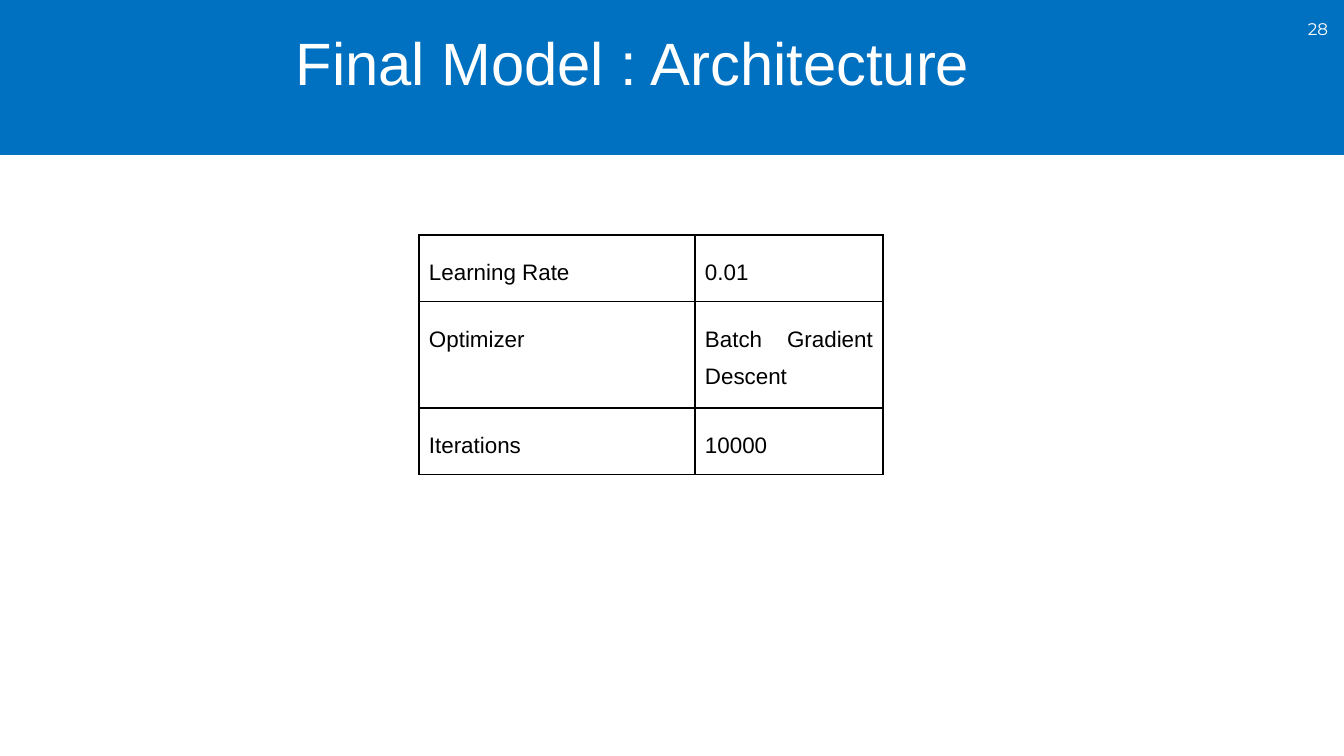
from lxml import etree
from pptx import Presentation
from pptx.dml.color import RGBColor
from pptx.enum.shapes import MSO_SHAPE
from pptx.enum.text import MSO_ANCHOR, PP_ALIGN
from pptx.oxml.ns import qn
from pptx.util import Emu, Pt

RECT = MSO_SHAPE.RECTANGLE
TOP, MIDDLE = MSO_ANCHOR.TOP, MSO_ANCHOR.MIDDLE
CENTER, RIGHT, JUSTIFY = PP_ALIGN.CENTER, PP_ALIGN.RIGHT, PP_ALIGN.JUSTIFY
COLORS = {"band": "0070C0", "light": "FFFFFF", "dark": "000000"}
PARAMETERS = [
    ("Learning Rate", "0.01"),
    ("Optimizer", "Batch Gradient Descent"),
    ("Iterations", "10000"),
]


def px(n):
    """Turn pixels into EMU at 134.4 pixels to the inch."""
    return Emu(round(n * 914400 / 134.4))


def rgb(name):
    """Look up a named colour."""
    return RGBColor.from_string(COLORS[name])


def style(p, align, size, font, color, spacing=1.0):
    """Format one paragraph."""
    p.alignment, p.line_spacing = align, spacing
    p.font.size, p.font.name = Pt(size), font
    p.font.color.rgb = rgb(color)


def set_margins(obj, across, down):
    """Set the margins of a text frame or a cell."""
    obj.margin_left = obj.margin_right = px(across)
    obj.margin_top = obj.margin_bottom = px(down)


def add_text(s, text, box, anchor, inset, **fmt):
    """Add a wrapped text box with one paragraph."""
    tf = s.shapes.add_textbox(*map(px, box)).text_frame
    tf.word_wrap, tf.vertical_anchor = True, anchor
    set_margins(tf, 10, inset)
    p = tf.paragraphs[0]
    p.text = text
    style(p, **fmt)


def add_header(s, x, y, w, h):
    """Draw the band with its title and page number."""
    sp = s.shapes.add_shape(RECT, px(x), px(y), px(w), px(h))
    sp.shadow.inherit = False
    sp.fill.solid()
    sp.fill.fore_color.rgb = rgb("band")
    sp.line.fill.background()
    add_text(s, "28", (x + w - 58, y + 9, 52, 40), MIDDLE, 5,
             align=RIGHT, size=9, font="Montserrat", color="light")
    add_text(s, "Final Model : Architecture", (x + 28, y + 24, 1210, 126), TOP, 10,
             align=CENTER, size=32, font="Arial", color="light", spacing=0.9)


def add_borders(cell):
    """Draw a thin line on each side of a cell."""
    tc_pr = cell._tc.get_or_add_tcPr()
    for i, side in enumerate(("lnL", "lnR", "lnT", "lnB")):
        ln = etree.Element(qn(f"a:{side}"), w=str(Pt(0.75)))
        fill = etree.SubElement(ln, qn("a:solidFill"))
        etree.SubElement(fill, qn("a:srgbClr"), val=COLORS["dark"])
        tc_pr.insert(i, ln)


def add_parameters(s, x, y, widths, heights):
    """Draw the table of training parameters."""
    frame = s.shapes.add_table(len(heights), len(widths), px(x), px(y),
                               px(sum(widths)), px(sum(heights)))
    table = frame.table
    table.first_row = table.horz_banding = False
    for col, w in zip(table.columns, widths):
        col.width = px(w)
    for row, h, texts in zip(table.rows, heights, PARAMETERS):
        row.height = px(h)
        for cell, text in zip(row.cells, texts):
            cell.text = text
            cell.fill.background()
            set_margins(cell, 10, 13)
            p = cell.text_frame.paragraphs[0]
            style(p, JUSTIFY, 12, "Arial", "dark", 1.5)
            p.space_before = Pt(12)
            add_borders(cell)


def main():
    """Build the slide and save it."""
    prs = Presentation()
    prs.slide_width, prs.slide_height = px(1344), px(756)
    s = prs.slides.add_slide(prs.slide_layouts[6])
    add_header(s, 0, 0, 1344, 155)
    add_parameters(s, 419, 235, (276, 188), (64, 102, 64))
    prs.save("out.pptx")


if __name__ == "__main__":
    main()
